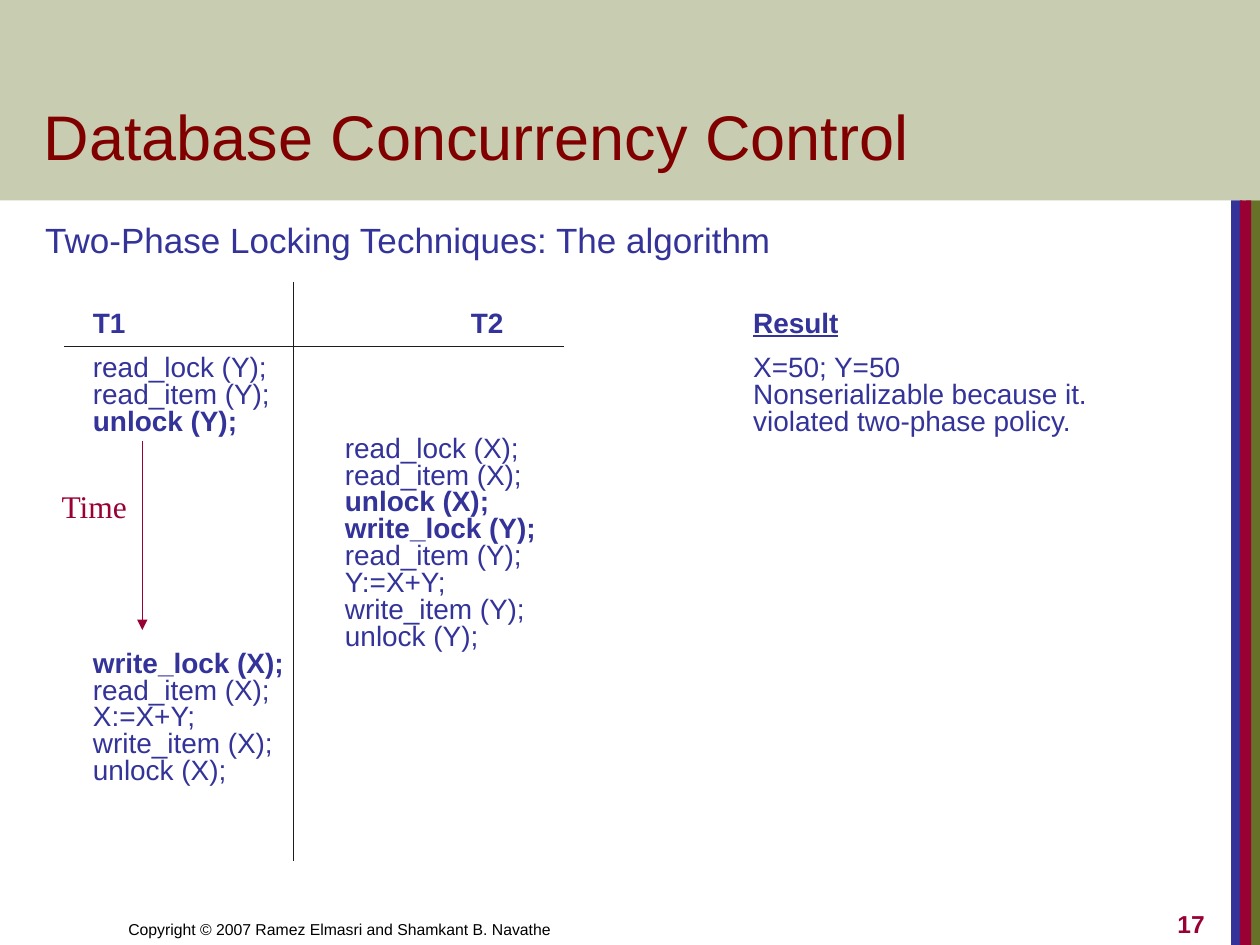
from dataclasses import dataclass

from lxml import etree
from pptx import Presentation
from pptx.dml.color import RGBColor
from pptx.enum.shapes import MSO_CONNECTOR, MSO_SHAPE
from pptx.enum.text import MSO_ANCHOR, PP_ALIGN
from pptx.oxml.ns import qn
from pptx.util import Inches, Pt

RECTANGLE = MSO_SHAPE.RECTANGLE
STRAIGHT = MSO_CONNECTOR.STRAIGHT
TOP, BOTTOM = MSO_ANCHOR.TOP, MSO_ANCHOR.BOTTOM
LEFT, RIGHT = PP_ALIGN.LEFT, PP_ALIGN.RIGHT

OLIVE, NAVY, CRIMSON = "677228", "333399", "990033"
MAROON, BLACK, INK = "800000", "000000", "1C1C1C"

# Tab stops of the three schedule columns
HEADING_TABS = (0.38, 3.38, 5.62)
STEP_TABS = (0.38, 2.38, 5.62)


@dataclass
class Bar:
    left: float
    top: float
    width: float
    height: float
    color: str
    opacity: int = 100


@dataclass
class Rule:
    start: tuple[float, float]
    end: tuple[float, float]
    color: str
    width: float
    arrow: bool = False


@dataclass
class Label:
    text: str
    place: tuple[float, float, float, float]
    size: float
    color: str
    font: str = "Arial"
    bold: bool = False
    anchor: MSO_ANCHOR = BOTTOM
    align: PP_ALIGN = LEFT
    wrap: bool = True


@dataclass
class Cell:
    text: str = ""
    bold: bool = False
    underline: bool = False


@dataclass
class Row:
    cells: list[Cell]
    tabs: tuple[float, ...] = STEP_TABS
    size: float = 16
    before: float = 0


def rgb(color: str) -> RGBColor:
    return RGBColor.from_string(color)


def add_bar(page, bar: Bar) -> None:
    shape = page.shapes.add_shape(
        RECTANGLE, *map(Inches, (bar.left, bar.top, bar.width, bar.height)))
    shape.shadow.inherit = False
    shape.line.fill.background()
    shape.fill.solid()
    shape.fill.fore_color.rgb = rgb(bar.color)
    if bar.opacity < 100:
        tint = shape._element.spPr.find(".//" + qn("a:srgbClr"))
        etree.SubElement(tint, qn("a:alpha"), val=str(bar.opacity * 1000))


def add_rule(page, rule: Rule) -> None:
    line = page.shapes.add_connector(STRAIGHT, *map(Inches, rule.start + rule.end))
    line.line.color.rgb = rgb(rule.color)
    line.line.width = Pt(rule.width)
    if rule.arrow:
        etree.SubElement(line.line._get_or_add_ln(), qn("a:tailEnd"), type="triangle")
    etree.SubElement(line._element.spPr, qn("a:effectLst"))


def add_box(page, place: tuple, anchor: MSO_ANCHOR, wrap: bool = True):
    frame = page.shapes.add_textbox(*map(Inches, place)).text_frame
    frame.word_wrap = wrap
    frame.vertical_anchor = anchor
    return frame


def add_span(para, text: str, color: str, **formats) -> None:
    span = para.add_run()
    span.text = text
    span.font.color.rgb = rgb(color)
    for name, value in formats.items():
        setattr(span.font, name, value)


def add_label(page, label: Label) -> None:
    para = add_box(page, label.place, label.anchor, label.wrap).paragraphs[0]
    para.alignment = label.align
    add_span(para, label.text, label.color, name=label.font,
             size=Pt(label.size), bold=label.bold)


def add_row(para, row: Row) -> None:
    para.line_spacing = 0.8
    para.space_before = Pt(row.before)
    formats = {"name": "Arial", "size": Pt(row.size)}
    if row.tabs:
        stops = etree.SubElement(para._p.get_or_add_pPr(), qn("a:tabLst"))
        for stop in row.tabs:
            etree.SubElement(stops, qn("a:tab"), pos=str(Inches(stop)), algn="l")
    for cell in row.cells:
        if row.tabs:
            add_span(para, "\t", NAVY, **formats)
        if cell.text:
            add_span(para, cell.text, NAVY, bold=cell.bold,
                     underline=cell.underline, **formats)


BARS = [
    Bar(9.89, 1.59, 0.11, 5.91, OLIVE),
    Bar(9.77, 1.59, 0.09, 5.91, NAVY),
    Bar(9.84, 1.59, 0.09, 5.91, CRIMSON),
    Bar(0, 0, 10, 1.59, OLIVE, opacity=36),
]

LABELS = [
    Label("Copyright © 2007 Ramez Elmasri and Shamkant B. Navathe",
          (0.92, 7, 4.92, 0.5), 9, BLACK),
    Label("Database Concurrency Control", (0.25, 0.33, 8.53, 1.09), 36, MAROON),
    Label("Time", (0.39, 3.82, 0.73, 0.4), 18, CRIMSON,
          font="Times New Roman", anchor=TOP, wrap=False),
    Label("17", (7.58, 7, 2.08, 0.5), 14, CRIMSON, bold=True, align=RIGHT),
]

RULES = [
    Rule((1.13, 3.5), (1.13, 5), CRIMSON, 1, arrow=True),
    Rule((2.33, 2.24), (2.33, 6.83), INK, 0.74),
    Rule((0.51, 2.75), (4.48, 2.75), INK, 0.74),
]

# Schedule of both transactions, in order of time
ROWS = [
    Row([Cell("Two-Phase Locking Techniques: The algorithm")], tabs=(), size=20, before=5),
    Row([Cell("T1", True), Cell("T2", True), Cell("Result", True, True)],
        tabs=HEADING_TABS, before=29.3),
    Row([Cell("read_lock (Y);"), Cell(), Cell("X=50; Y=50")], before=10),
    Row([Cell("read_item (Y);"), Cell(), Cell("Nonserializable because it.")]),
    Row([Cell("unlock (Y);", True), Cell(), Cell("violated two-phase policy.")]),
    Row([Cell(), Cell("read_lock (X);")]),
    Row([Cell(), Cell("read_item (X);")]),
    Row([Cell(), Cell("unlock (X);", True)]),
    Row([Cell(), Cell("write_lock (Y);", True)]),
    Row([Cell(), Cell("read_item (Y);")]),
    Row([Cell(), Cell("Y:=X+Y;")]),
    Row([Cell(), Cell("write_item (Y);")]),
    Row([Cell(), Cell("unlock (Y);")]),
    Row([Cell("write_lock (X);", True)]),
    Row([Cell("read_item (X);")]),
    Row([Cell("X:=X+Y;")]),
    Row([Cell("write_item (X);")]),
    Row([Cell("unlock (X);")]),
]

deck = Presentation()
deck.slide_width, deck.slide_height = Inches(10), Inches(7.5)
page = deck.slides.add_slide(deck.slide_layouts[6])

# Header band and side stripes
for bar in BARS:
    add_bar(page, bar)

# Title, footer and time label
for label in LABELS:
    add_label(page, label)

# Schedule text
body = add_box(page, (0.26, 1.75, 9.07, 5), TOP)
body.margin_right = 0
for index, row in enumerate(ROWS):
    add_row(body.add_paragraph() if index else body.paragraphs[0], row)

# Grid lines and time arrow
for rule in RULES:
    add_rule(page, rule)

deck.save("out.pptx")
